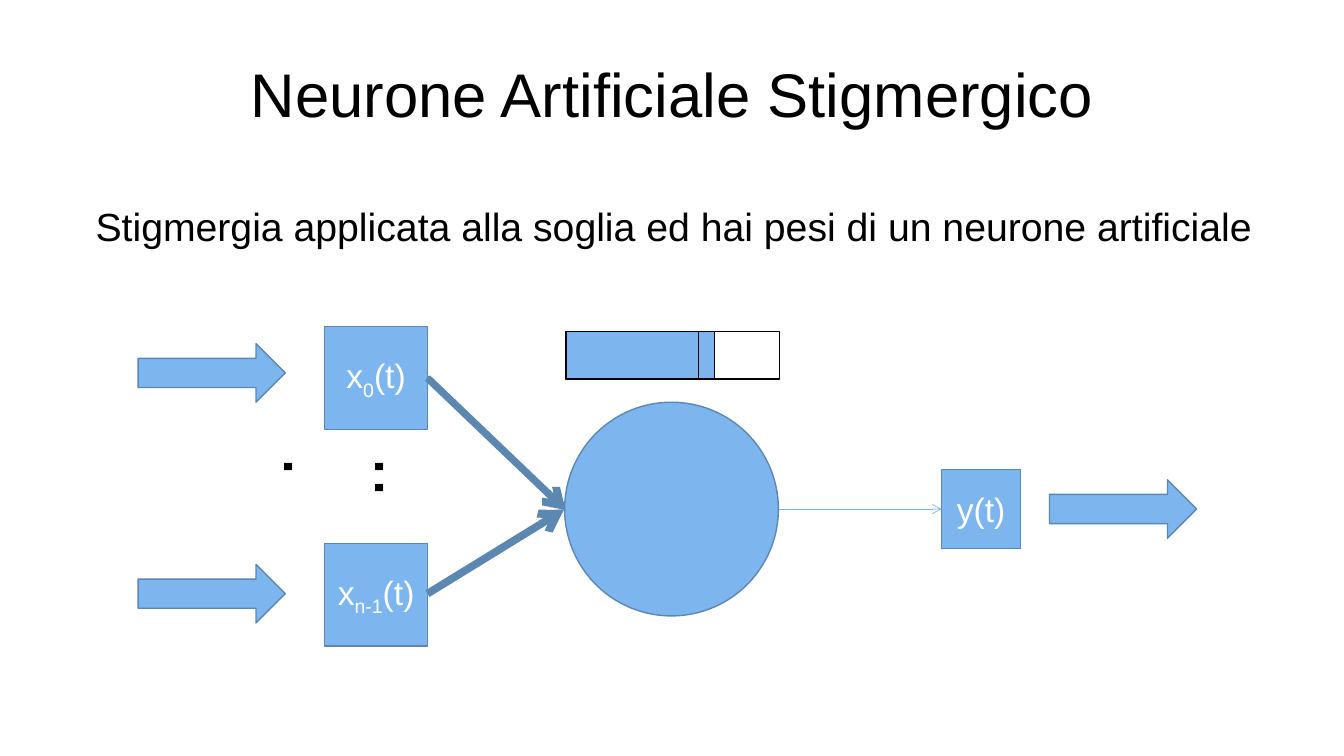
from pptx import Presentation
from pptx.dml.color import RGBColor
from pptx.enum.shapes import MSO_CONNECTOR, MSO_SHAPE
from pptx.enum.text import MSO_ANCHOR, MSO_AUTO_SIZE, PP_ALIGN
from pptx.oxml.ns import qn
from pptx.util import Inches, Pt
from lxml import etree

RECTANGLE = MSO_SHAPE.RECTANGLE
OVAL = MSO_SHAPE.OVAL
RIGHT_ARROW = MSO_SHAPE.RIGHT_ARROW
STRAIGHT = MSO_CONNECTOR.STRAIGHT
TOP = MSO_ANCHOR.TOP
MIDDLE = MSO_ANCHOR.MIDDLE
LEFT = PP_ALIGN.LEFT
CENTER = PP_ALIGN.CENTER
FIT_SHAPE = MSO_AUTO_SIZE.SHAPE_TO_FIT_TEXT

COLORS = {"blue": "7DB6EF", "edge": "5C87B1", "black": "000000", "white": "FFFFFF"}


class NeuronSlide:
    font_name = "Arial"

    def __init__(self, slide):
        self.slide = slide

    def color(self, name):
        return RGBColor.from_string(COLORS[name])

    def fill_paragraph(self, paragraph, parts, size, color, align):
        for text, baseline in parts:
            run = paragraph.add_run()
            run.text = text
            if baseline:
                run._r.get_or_add_rPr().set("baseline", str(baseline * 1000))
        paragraph.alignment = align
        paragraph.font.name = self.font_name
        paragraph.font.size = Pt(size)
        paragraph.font.color.rgb = self.color(color)

    def text(self, box, text, size, align=LEFT, anchor=TOP, vertical=False):
        shape = self.slide.shapes.add_textbox(*map(Inches, box))
        frame = shape.text_frame
        frame.word_wrap = True
        frame.vertical_anchor = anchor
        if vertical:
            frame._txBody.bodyPr.set("vert", "eaVert")
            frame.auto_size = FIT_SHAPE
        self.fill_paragraph(frame.paragraphs[0], [(text, 0)], size, "black", align)

    def shape(self, kind, box, fill="blue", line="edge", parts=()):
        shape = self.slide.shapes.add_shape(kind, *map(Inches, box))
        shape.shadow.inherit = False
        shape.fill.solid()
        shape.fill.fore_color.rgb = self.color(fill)
        shape.line.color.rgb = self.color(line)
        shape.line.width = Pt(1)
        if parts:
            frame = shape.text_frame
            frame.word_wrap = True
            frame.vertical_anchor = MIDDLE
            frame.margin_left = frame.margin_right = Inches(0.05)
            self.fill_paragraph(frame.paragraphs[0], parts, 24, "white", CENTER)

    def arrow(self, start, end, color="blue", width=0.5):
        connector = self.slide.shapes.add_connector(STRAIGHT, *map(Inches, start + end))
        connector.line.color.rgb = self.color(color)
        connector.line.width = Pt(width)
        tail = etree.SubElement(connector.line._get_or_add_ln(), qn("a:tailEnd"))
        tail.set("type", "arrow")
        etree.SubElement(connector._element.spPr, qn("a:effectLst"))


def main():
    presentation = Presentation()
    presentation.slide_width = Inches(13.33)
    presentation.slide_height = Inches(7.5)
    neuron = NeuronSlide(presentation.slides.add_slide(presentation.slide_layouts[6]))

    neuron.text((0.67, 0.3, 12, 1.25), "Neurone Artificiale Stigmergico", 44, CENTER, MIDDLE)
    neuron.text(
        (0.85, 1.96, 12.02, 1.04),
        "Stigmergia applicata alla soglia ed hai pesi di un neurone artificiale",
        28,
    )

    neuron.shape(OVAL, (5.6, 3.99, 2.12, 2.12))
    neuron.shape(RECTANGLE, (9.34, 4.66, 0.78, 0.78), parts=[("y(t)", 0)])
    neuron.arrow((7.73, 5.05), (9.34, 5.05))

    neuron.text((3.41, 4.43, 1.11, 0.76), "...", 54, vertical=True)

    for top, index in ((5.39, "n-1"), (3.24, "0")):
        parts = [("x", 0), (index, -25), ("(t)", 0)]
        neuron.shape(RECTANGLE, (3.22, top, 1.02, 1.02), parts=parts)
        neuron.arrow((4.24, top + 0.51), (5.6, 5.05))

    for left, top in ((1.37, 3.41), (1.37, 5.6), (10.41, 4.76)):
        neuron.shape(RIGHT_ARROW, (left, top, 1.46, 0.58))

    threshold_segments = (
        (6.67, 1.06, "white"),
        (5.61, 1.06, "blue"),
        (5.62, 1.47, "blue"),
        (5.62, 1.31, "blue"),
    )
    for left, width, fill in threshold_segments:
        neuron.shape(RECTANGLE, (left, 3.29, width, 0.47), fill, "black")

    weights = (
        ((4.24, 3.75), (5.61, 5.06), 5.25),
        ((4.24, 3.74), (5.59, 5.03), 2.5),
        ((4.24, 5.89), (5.59, 5.06), 5.5),
    )
    for start, end, width in weights:
        neuron.arrow(start, end, "edge", width)

    presentation.save("out.pptx")


if __name__ == "__main__":
    main()
